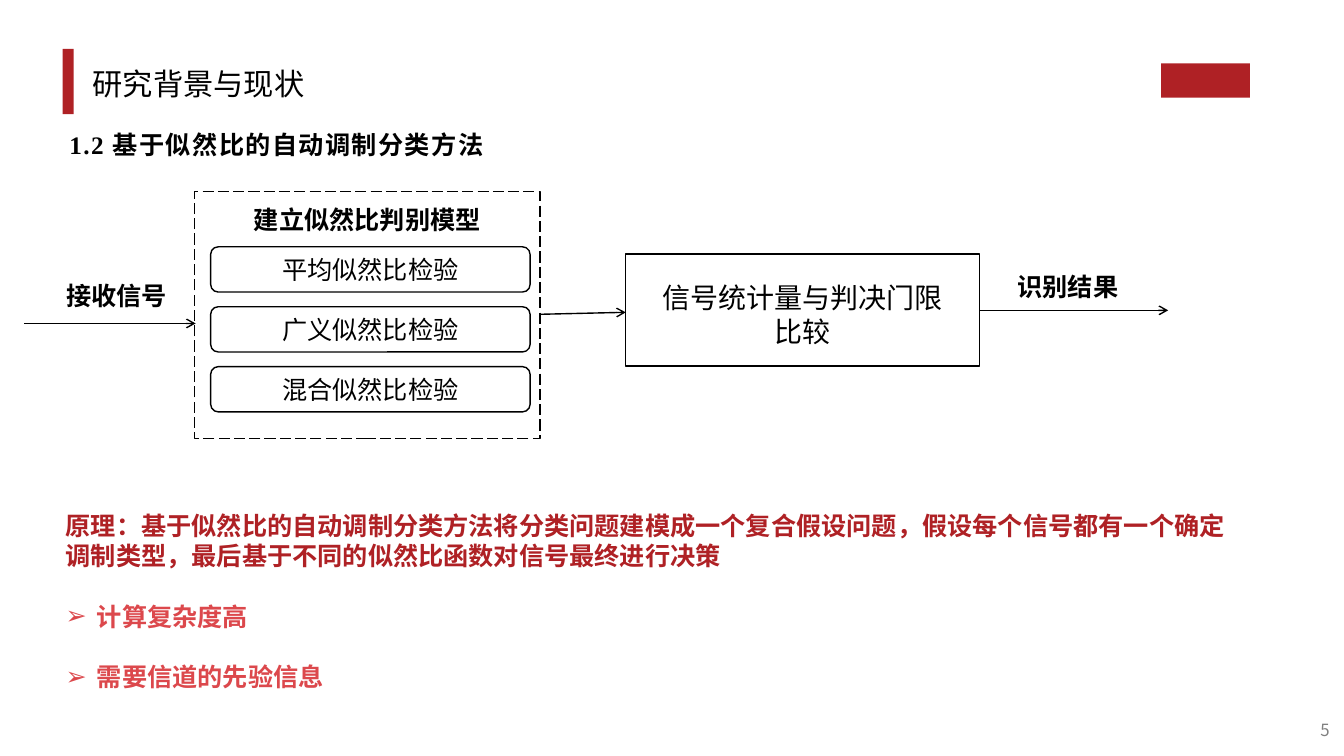
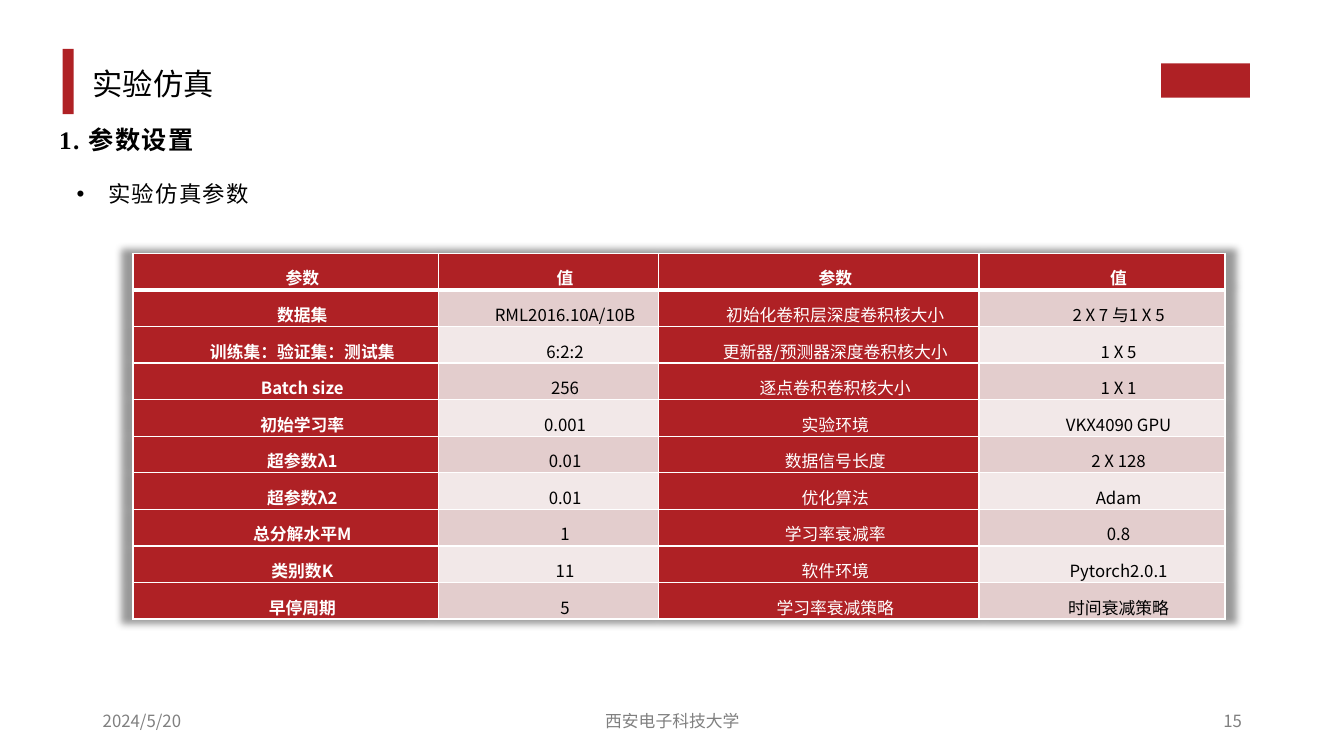
from dataclasses import dataclass, replace
from typing import Optional

from lxml import etree
from pptx import Presentation
from pptx.dml.color import RGBColor
from pptx.enum import dml, shapes, text
from pptx.oxml import ns
from pptx.util import Cm, Pt

CRIMSON, CORAL, GREY = "AF2125", "DC484C", "808080"
BLACK, WHITE = "000000", "FFFFFF"
BANDS = ("E3CDCD", "F2E8E8")
SANS, SERIF, PLAIN = "Noto Sans CJK SC", "Times New Roman", "Arial"
ALIGN = text.PP_ALIGN
ANCHOR = text.MSO_ANCHOR


@dataclass(frozen=True)
class Box:
    left: float
    top: float
    width: float
    height: float

    def lengths(self) -> tuple:
        return Cm(self.left), Cm(self.top), Cm(self.width), Cm(self.height)


@dataclass(frozen=True)
class Style:
    size: float
    color: str = BLACK
    font: str = PLAIN
    bold: bool = False
    align: ALIGN = ALIGN.LEFT
    lines: float = 1.0
    tracking: int = 0
    before: float = 0
    bullet: Optional[str] = None
    first_indent: float = 0


@dataclass(frozen=True)
class Label:
    words: str
    box: Box
    style: Style
    anchor: ANCHOR = ANCHOR.TOP


@dataclass(frozen=True)
class Block:
    words: str
    box: Box
    style: Style
    kind: shapes.MSO_SHAPE = shapes.MSO_SHAPE.RECTANGLE
    anchor: ANCHOR = ANCHOR.MIDDLE
    dashed: bool = False
    side_inset: float = 0.25
    top_inset: float = 0.13


@dataclass(frozen=True)
class Arrow:
    x1: float
    y1: float
    x2: float
    y2: float


TITLE_BAR = Box(1.58, 1.23, 0.28, 1.65)
CORNER_BAR = Box(29.26, 1.6, 2.24, 0.86)
TITLE = Style(21.6, font=SERIF, align=ALIGN.JUSTIFY, lines=1.3)
SECTION = Style(18, font=SERIF, bold=True, align=ALIGN.JUSTIFY, lines=1.3, tracking=100)
FOOTER = Style(12, GREY, SANS)
FOOTER_RIGHT = replace(FOOTER, align=ALIGN.RIGHT)
CAPTION = Style(18, bold=True, align=ALIGN.CENTER)
STEP = replace(CAPTION, bold=False)
PRINCIPLE = Style(18, CRIMSON, bold=True)
DRAWBACK = replace(PRINCIPLE, color=CORAL, before=21.6, bullet="➢")
TOPIC = Style(16, font=SANS, align=ALIGN.JUSTIFY, lines=1.3, tracking=100, bullet="•")
CELL = Style(12, font=SANS, align=ALIGN.CENTER, lines=1.5, first_indent=0.84)


def rgb(color: str) -> RGBColor:
    return RGBColor.from_string(color)


def add_xml(parent, tag: str, **attributes: str):
    return etree.SubElement(parent, ns.qn(tag), attributes)


def format_paragraph(paragraph, style: Style) -> None:
    properties = paragraph._p.get_or_add_pPr()
    hanging = 0.79 if style.bullet else 0
    properties.set("marL", str(Cm(hanging)))
    properties.set("indent", str(Cm(style.first_indent - hanging)))
    if style.bullet:
        add_xml(properties, "a:buFont", typeface=PLAIN)
        add_xml(properties, "a:buChar", char=style.bullet)
    else:
        add_xml(properties, "a:buNone")
    paragraph.alignment = style.align
    paragraph.line_spacing = style.lines
    paragraph.space_before = Pt(style.before)
    for run in paragraph.runs:
        run.font.size = Pt(style.size)
        run.font.bold = style.bold
        run.font.name = style.font
        run.font.color.rgb = rgb(style.color)
        add_xml(run._r.rPr, "a:ea", typeface=SANS)
        if style.tracking:
            run._r.rPr.set("spc", str(style.tracking))


def write(frame, paragraphs: list[tuple[str, Style]], anchor: ANCHOR) -> None:
    frame.text = "\n".join(words for words, _ in paragraphs)
    frame.word_wrap = True
    frame.auto_size = text.MSO_AUTO_SIZE.NONE
    frame.vertical_anchor = anchor
    for paragraph, (_, style) in zip(frame.paragraphs, paragraphs):
        format_paragraph(paragraph, style)


def fill_placeholder(holder, box: Box, paragraphs: list[tuple[str, Style]],
                     anchor: ANCHOR = ANCHOR.TOP) -> None:
    holder.left, holder.top, holder.width, holder.height = box.lengths()
    write(holder.text_frame, paragraphs, anchor)


def add_label(slide, label: Label) -> None:
    frame = slide.shapes.add_textbox(*label.box.lengths()).text_frame
    write(frame, [(label.words, label.style)], label.anchor)


def add_filled(slide, kind: shapes.MSO_SHAPE, box: Box, color: str):
    area = slide.shapes.add_shape(kind, *box.lengths())
    area.shadow.inherit = False
    area.fill.solid()
    area.fill.fore_color.rgb = rgb(color)
    area.line.fill.background()
    return area


def add_block(slide, block: Block) -> None:
    outline = add_filled(slide, block.kind, block.box, WHITE)
    outline.line.color.rgb = rgb(BLACK)
    outline.line.width = Pt(1)
    if block.dashed:
        outline.line.dash_style = dml.MSO_LINE.LONG_DASH
    frame = outline.text_frame
    write(frame, [(block.words, block.style)], block.anchor)
    frame.margin_left = frame.margin_right = Cm(block.side_inset)
    frame.margin_top = Cm(block.top_inset)


def add_arrow(slide, arrow: Arrow) -> None:
    flow = slide.shapes.add_connector(
        shapes.MSO_CONNECTOR.STRAIGHT,
        Cm(arrow.x1), Cm(arrow.y1), Cm(arrow.x2), Cm(arrow.y2))
    flow.line.color.rgb = rgb(BLACK)
    flow.line.width = Pt(1)
    add_xml(flow.line._get_or_add_ln(), "a:tailEnd", type="arrow")
    add_xml(flow._element.spPr, "a:effectLst")


def start_slide(deck, title: str, section: str, section_left: float, section_top: float):
    slide = deck.slides.add_slide(deck.slide_layouts[1])
    slide.background.fill.solid()
    slide.background.fill.fore_color.rgb = rgb(WHITE)
    for bar in (TITLE_BAR, CORNER_BAR):
        add_filled(slide, shapes.MSO_SHAPE.RECTANGLE, bar, CRIMSON)
    fill_placeholder(slide.shapes.title, Box(2.08, 1.45, 26.5, 1.02),
                     [(title, TITLE)], ANCHOR.MIDDLE)
    add_label(slide, Label(section, Box(section_left, section_top, 13.28, 1.2), SECTION))
    return slide


def build_background(deck) -> None:
    slide = start_slide(deck, "研究背景与现状", "1.2 基于似然比的自动调制分类方法", 1.5, 2.9)
    add_block(slide, Block("建立似然比判别模型", Box(4.9, 4.83, 8.71, 6.22), CAPTION,
                           anchor=ANCHOR.TOP, dashed=True, top_inset=0.33))
    for row, test in enumerate(("平均似然比检验", "广义似然比检验", "混合似然比检验")):
        add_block(slide, Block(test, Box(5.31, 6.22 + 1.51 * row, 8.05, 1.14), STEP,
                               shapes.MSO_SHAPE.ROUNDED_RECTANGLE))
    add_block(slide, Block("信号统计量与判决门限比较", Box(15.77, 6.4, 8.92, 2.82),
                           replace(STEP, size=20), side_inset=0.64, top_inset=0.35))
    for arrow in (Arrow(0.61, 8.15, 4.93, 8.15),
                  Arrow(13.59, 7.92, 15.77, 7.87),
                  Arrow(24.69, 7.82, 29.44, 7.82)):
        add_arrow(slide, arrow)
    for label in (Label("接收信号", Box(0.38, 6.93, 5.11, 1.02), CAPTION),
                  Label("识别结果", Box(24.36, 6.71, 5.11, 1.02), CAPTION),
                  Label("5", Box(32.72, 17.88, 1.04, 1.02), FOOTER_RIGHT, ANCHOR.MIDDLE)):
        add_label(slide, label)
    fill_placeholder(slide.placeholders[1], Box(1.4, 12.73, 30.12, 5.18), [
        ("原理：基于似然比的自动调制分类方法将分类问题建模成一个复合假设问题，"
         "假设每个信号都有一个确定调制类型，最后基于不同的似然比函数对信号最终进行决策", PRINCIPLE),
        ("计算复杂度高", DRAWBACK),
        ("需要信道的先验信息", DRAWBACK),
    ])


PARAMETERS = (
    ("参数", "值", "参数", "值"),
    ("数据集", "RML2016.10A/10B", "初始化卷积层深度卷积核大小", "2 X 7 与1 X 5"),
    ("训练集：验证集：测试集", "6:2:2", "更新器/预测器深度卷积核大小", "1 X 5"),
    ("Batch size", "256", "逐点卷积卷积核大小", "1 X 1"),
    ("初始学习率", "0.001", "实验环境", "VKX4090 GPU"),
    ("超参数λ1", "0.01", "数据信号长度", "2 X 128"),
    ("超参数λ2", "0.01", "优化算法", "Adam"),
    ("总分解水平M", "1", "学习率衰减率", "0.8"),
    ("类别数K", "11", "软件环境", "Pytorch2.0.1"),
    ("早停周期", "5", "学习率衰减策略", "时间衰减策略"),
)
COLUMN_WIDTHS = (7.7, 5.54, 8.08, 6.2)
ROW_HEIGHTS = (0.92,) * 7 + (0.87,) + (0.92,) * 2


def add_border(cell, side: str, points: float) -> None:
    edge = add_xml(cell._tc.get_or_add_tcPr(), f"a:ln{side}", w=str(Pt(points)))
    add_xml(add_xml(edge, "a:solidFill"), "a:srgbClr", val=WHITE)


def format_cell(cell, words: str, row: int, column: int) -> None:
    header = row == 0
    named = header or column % 2 == 0
    for side in "LRTB":
        thick = (header and side == "B") or (row == 1 and side == "T")
        add_border(cell, side, 3 if thick else 1)
    cell.fill.solid()
    cell.fill.fore_color.rgb = rgb(CRIMSON if named else BANDS[(row - 1) % 2])
    cell.margin_left = cell.margin_right = Cm(0.18)
    cell.margin_top = cell.margin_bottom = 0
    cell.text_frame.text = words
    format_paragraph(cell.text_frame.paragraphs[0], replace(
        CELL, color=WHITE if named else BLACK, bold=header or column == 0))


def add_glow_shadow(table) -> None:
    effects = etree.Element(ns.qn("a:effectLst"))
    shade = add_xml(effects, "a:outerShdw", blurRad=str(Pt(5)), sx="102000", sy="102000",
                    algn="ctr", rotWithShape="0")
    add_xml(add_xml(shade, "a:prstClr", val="black"), "a:alpha", val="40000")
    table._tbl.tblPr.insert(0, effects)


def add_parameters(slide) -> None:
    box = Box(3.35, 6.38, sum(COLUMN_WIDTHS), sum(ROW_HEIGHTS))
    table = slide.shapes.add_table(
        len(PARAMETERS), len(COLUMN_WIDTHS), *box.lengths()).table
    for column, width in zip(table.columns, COLUMN_WIDTHS):
        column.width = Cm(width)
    for row, height in zip(table.rows, ROW_HEIGHTS):
        row.height = Cm(height)
    for row, values in enumerate(PARAMETERS):
        for column, words in enumerate(values):
            format_cell(table.cell(row, column), words, row, column)
    add_glow_shadow(table)


def build_experiment(deck) -> None:
    slide = start_slide(deck, "实验仿真", "1. 参数设置", 1.24, 2.79)
    fill_placeholder(slide.placeholders[1], Box(1.68, 4.22, 6.53, 1.07),
                     [("实验仿真参数", TOPIC)])
    add_parameters(slide)
    for words, left, width, style in (
            ("2024/5/20", 2.34, 7.62, FOOTER),
            ("西安电子科技大学", 11.23, 11.43, replace(FOOTER, align=ALIGN.CENTER)),
            ("15", 23.93, 7.62, FOOTER_RIGHT)):
        add_label(slide, Label(words, Box(left, 17.65, width, 1.02), style, ANCHOR.MIDDLE))


def main() -> None:
    deck = Presentation()
    deck.slide_width, deck.slide_height = Cm(33.87), Cm(19.05)
    build_background(deck)
    build_experiment(deck)
    deck.save("out.pptx")


if __name__ == "__main__":
    main()
